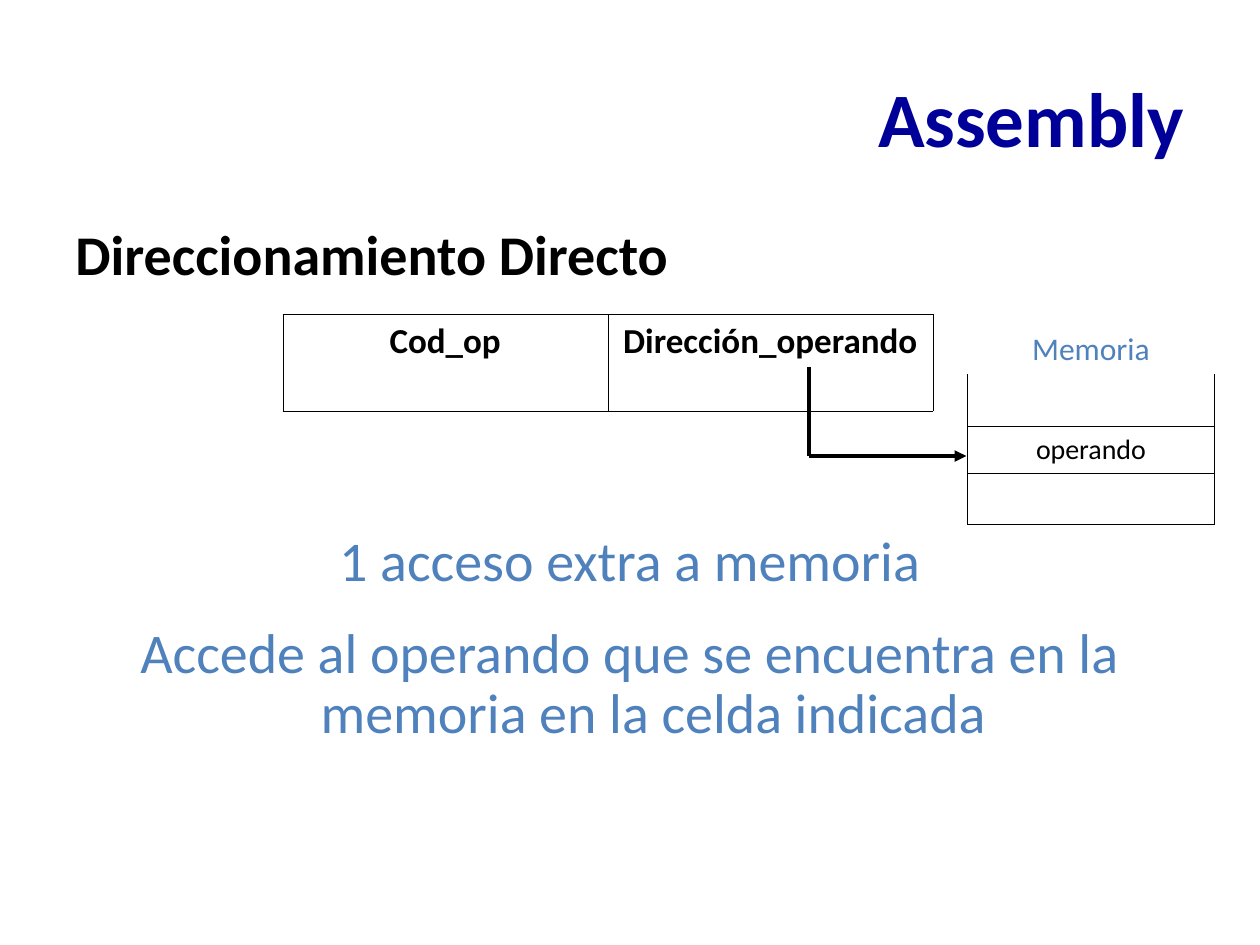
from lxml import etree
from pptx import Presentation
from pptx import util as u
from pptx.dml.color import RGBColor
from pptx.enum import shapes, text
from pptx.oxml import ns

BLACK = RGBColor(0, 0, 0)
WHITE = RGBColor(255, 255, 255)
NAVY = RGBColor(0, 0, 0x99)
BLUE = RGBColor(0x4F, 0x81, 0xBD)
LEFT, MID, RIGHT = text.PP_ALIGN.LEFT, text.PP_ALIGN.CENTER, text.PP_ALIGN.RIGHT
TOP, CENTER = text.MSO_ANCHOR.TOP, text.MSO_ANCHOR.MIDDLE


def sub(node, tag, **attrs):
    return etree.SubElement(node, ns.qn(tag), **attrs)


class Page:
    face = "Calibri"
    hair = u.Pt(0.11)
    thick = u.Pt(2.25)

    def __init__(self, deck):
        self.slide = deck.slides.add_slide(deck.slide_layouts[6])

    def style(self, para, words, size, color, bold=False, align=LEFT,
              gap=0, lead=1.0):
        para.text = words
        para.alignment = align
        para.space_before = u.Pt(gap)
        para.line_spacing = lead
        font = para.font
        font.name, font.size, font.bold = self.face, u.Pt(size), bold
        font.color.rgb = color

    def box(self, place, items, anchor=TOP, hang=0):
        shape = self.slide.shapes.add_textbox(*map(u.Pt, place))
        frame = shape.text_frame
        frame.word_wrap = True
        frame.vertical_anchor = anchor
        for num, item in enumerate(items):
            para = frame.add_paragraph() if num else frame.paragraphs[0]
            self.style(para, **item)
            if hang:
                props = para._p.get_or_add_pPr()
                props.set("marL", str(u.Pt(hang)))
                props.set("indent", str(-u.Pt(hang)))

    def edge(self, cell, sides):
        props = cell._tc.get_or_add_tcPr()
        for side in "LRTB":
            line = sub(props, f"a:ln{side}", w=str(self.hair))
            if side in sides:
                fill = sub(line, "a:solidFill")
                sub(fill, "a:srgbClr", val=str(BLACK))
            else:
                sub(line, "a:noFill")

    def table(self, left, top, width, rows, cells):
        cols = len(cells[0])
        frame = self.slide.shapes.add_table(
            len(rows), cols, u.Pt(left), u.Pt(top),
            u.Pt(width * cols), u.Pt(sum(rows)))
        grid = frame.table
        grid.first_row = grid.horz_banding = False
        for col in grid.columns:
            col.width = u.Pt(width)
        for row, high, line in zip(grid.rows, rows, cells):
            row.height = u.Pt(high)
            for cell, (item, sides) in zip(row.cells, line):
                self.edge(cell, sides)
                cell.fill.solid()
                cell.fill.fore_color.rgb = WHITE
                if item:
                    self.style(cell.text_frame.paragraphs[0],
                               align=MID, lead=0.98, **item)

    def line(self, start, end, arrow=False):
        link = self.slide.shapes.add_connector(
            shapes.MSO_CONNECTOR.STRAIGHT, *map(u.Pt, start + end))
        link.line.color.rgb = BLACK
        link.line.width = self.thick
        if arrow:
            sub(link.line._get_or_add_ln(), "a:tailEnd", type="triangle")
        sub(link._element.spPr, "a:effectLst")


def main():
    deck = Presentation()
    deck.slide_width, deck.slide_height = u.Pt(720), u.Pt(540)
    page = Page(deck)

    page.box((36, 21.6, 648, 90), [
        dict(words="Assembly", size=44, color=NAVY, bold=True, align=RIGHT),
    ], CENTER)
    page.box((36, 126, 648, 356.4), [
        dict(words="Direccionamiento Directo", size=32, color=BLACK,
             bold=True, lead=0.9),
        dict(words="1 acceso extra a memoria", size=32, color=BLUE,
             align=MID, gap=136),
        dict(words="Accede al operando que se encuentra en la memoria"
                   " en la celda indicada", size=32, color=BLUE,
             align=MID, gap=18.5, lead=0.9),
    ], hang=27)

    page.table(161.5, 179.5, 185.8, [55.4], [[
        (dict(words=words, size=20, color=BLACK, bold=True), "LRTB")
        for words in ("Cod_op", "Dirección_operando")
    ]])
    page.table(552.8, 185.2, 141.2, [28.8, 29.5, 26.6, 29.5], [
        [(dict(words="Memoria", size=18, color=BLUE), "")],
        [(None, "LRB")],
        [(dict(words="operando", size=16, color=BLACK), "LRTB")],
        [(None, "LRTB")],
    ])

    bend = (462.2, 260.6)
    page.line(bend, (552.2, bend[1]), arrow=True)
    page.line((bend[0], 209.5), bend)
    deck.save("out.pptx")


if __name__ == "__main__":
    main()
